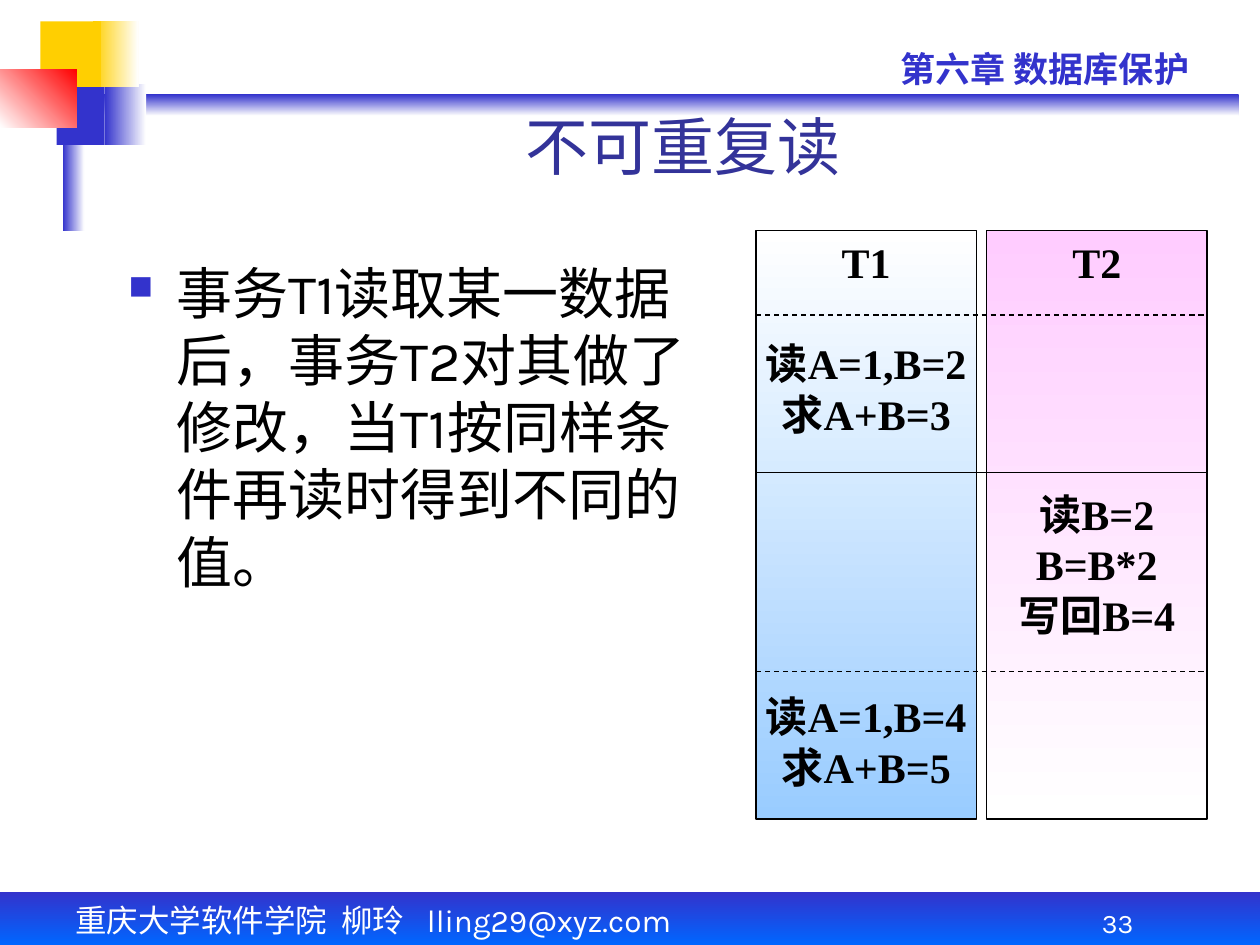
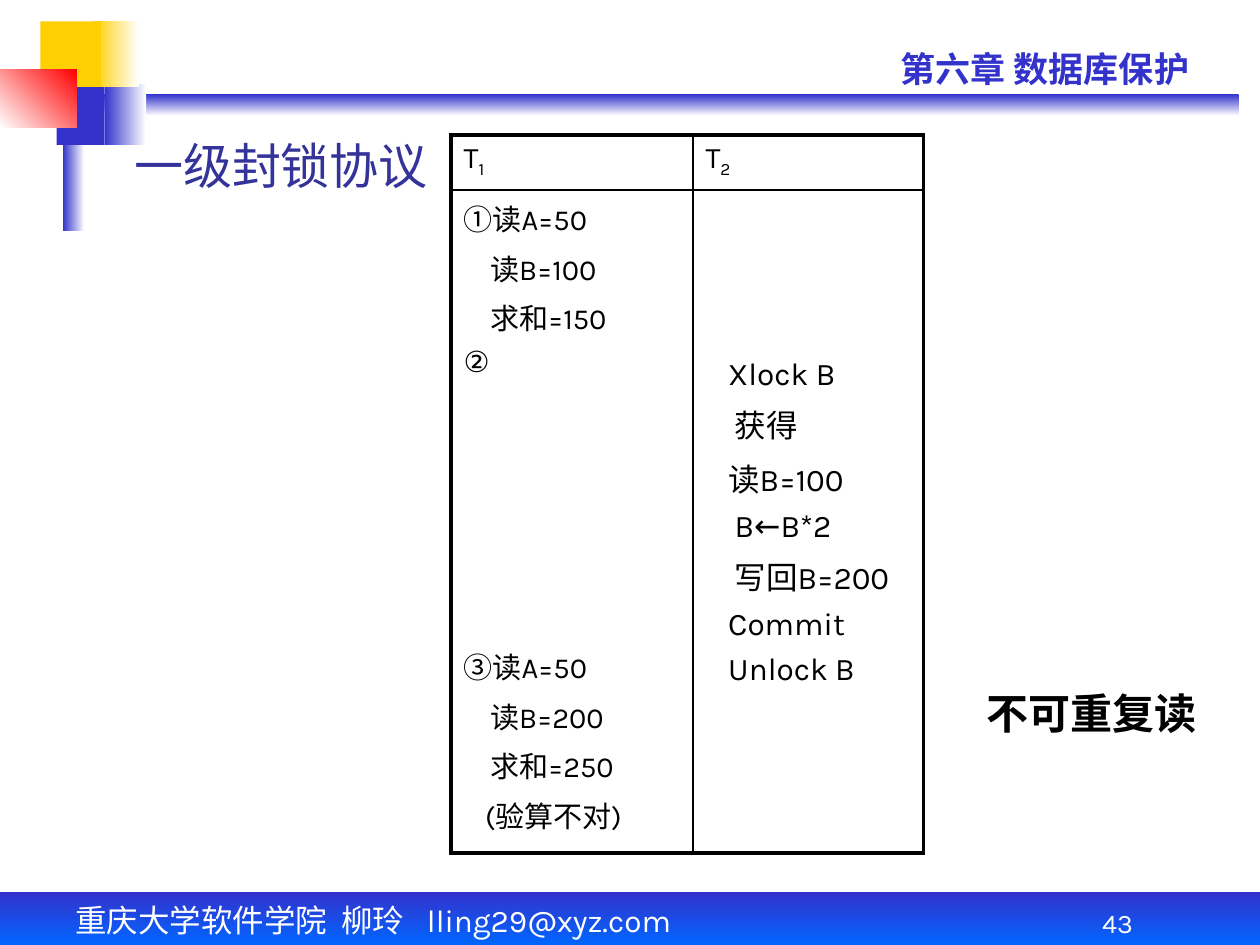
from lxml import etree
from pptx import Presentation
from pptx.dml.color import RGBColor
from pptx.enum.dml import MSO_LINE
from pptx.enum.shapes import MSO_CONNECTOR, MSO_SHAPE
from pptx.enum.text import MSO_ANCHOR, MSO_AUTO_SIZE, PP_ALIGN
from pptx.oxml.ns import qn
from pptx.util import Inches, Pt

RECTANGLE = MSO_SHAPE.RECTANGLE
STRAIGHT = MSO_CONNECTOR.STRAIGHT
DASH = MSO_LINE.DASH
CENTER = PP_ALIGN.CENTER
LEFT = PP_ALIGN.LEFT
TOP = MSO_ANCHOR.TOP
MIDDLE = MSO_ANCHOR.MIDDLE
BOTTOM = MSO_ANCHOR.BOTTOM

FONT = "Karla"
SERIF = "Times New Roman"
SANS = "Arial"
BLUE, TITLE_BLUE, BRIGHT_BLUE = "3333CC", "333399", "0066FF"
YELLOW, RED, WHITE, BLACK = "FFCF01", "FF0000", "FFFFFF", "000000"
SKY, PINK = "99CCFF", "FFCCFF"

# Gradient directions, counter-clockwise degrees
RIGHTWARD, UP_RIGHT, DOWNWARD = 0, 45, 270

# Left, top, width, height, colours, direction
DECORATIONS = [
    (0.58, 0.75, 9.25, 0.17, (BLUE, WHITE), DOWNWARD),
    (0.83, 0.67, 0.33, 0.48, (BLUE, WHITE), RIGHTWARD),
    (0, 7.08, 10, 0.42, (BLUE, BRIGHT_BLUE), DOWNWARD),
    (0.5, 0.58, 0.17, 1.25, (BLUE, WHITE), RIGHTWARD),
    (0.45, 0.67, 0.38, 0.48, (BLUE,), None),
    (0.74, 0.17, 0.36, 0.52, (YELLOW, WHITE), RIGHTWARD),
    (0.32, 0.17, 0.48, 0.52, (YELLOW,), None),
    (0, 0.55, 0.61, 0.46, (WHITE, RED), UP_RIGHT),
]


def rgb(color):
    return RGBColor.from_string(color)


def add_rectangle(slide, left, top, width, height, colors, direction=None):
    """Borderless rectangle, with a gradient when two colours are given."""
    shape = slide.shapes.add_shape(
        RECTANGLE, Inches(left), Inches(top), Inches(width), Inches(height))
    shape.shadow.inherit = False
    shape.line.fill.background()
    if len(colors) == 1:
        shape.fill.solid()
        shape.fill.fore_color.rgb = rgb(colors[0])
    else:
        shape.fill.gradient()
        shape.fill.gradient_angle = direction
        for stop, color in zip(shape.fill.gradient_stops, colors):
            stop.color.rgb = rgb(color)
    return shape


def format_runs(paragraph, size, color=BLACK, font=FONT, bold=False):
    for run in paragraph.runs:
        run.font.size = Pt(size)
        run.font.name = font
        run.font.bold = bold
        run.font.color.rgb = rgb(color)


def write_lines(text_frame, lines, size, align=LEFT, **style):
    """Write (text, space before in points, indent in inches) lines."""
    for index, (text, space, indent) in enumerate(lines):
        paragraph = text_frame.paragraphs[0] if index == 0 else text_frame.add_paragraph()
        paragraph.text = text
        paragraph.alignment = align
        if index:
            paragraph.space_before = Pt(space)
        if indent:
            paragraph._p.get_or_add_pPr().set("marL", str(Inches(indent)))
        format_runs(paragraph, size, **style)


def add_text(slide, left, top, width, height, text, size,
             align=LEFT, anchor=TOP, **style):
    box = slide.shapes.add_textbox(
        Inches(left), Inches(top), Inches(width), Inches(height))
    box.text_frame.word_wrap = True
    box.text_frame.vertical_anchor = anchor
    write_lines(box.text_frame, [(text, 0, 0)], size, align, **style)
    return box


def add_child(parent, tag, **attributes):
    return etree.SubElement(parent, qn(tag), attributes)


def add_frame(slide, number):
    """Corner blocks, chapter heading and footer shared by the slides."""
    for decoration in DECORATIONS:
        add_rectangle(slide, *decoration)
    footer = add_text(slide, 0.5, 7.1, 5.58, 0.4,
                      "重庆大学软件学院\t柳玲\tlling29@xyz.com", 18, color=WHITE)
    properties = footer.text_frame.paragraphs[0]._p.get_or_add_pPr()
    tab_list = add_child(properties, "a:tabLst")
    for position in (2.11, 2.79):
        add_child(tab_list, "a:tab", pos=str(Inches(position)), algn="l")
    add_text(slide, 7.05, 0.33, 2.79, 0.44, "第六章 数据库保护", 20,
             color=BLUE, bold=True)
    add_text(slide, 8.08, 7.08, 1.58, 0.42, str(number), 15.3,
             CENTER, BOTTOM, color=WHITE)


def add_slide(presentation, number, title_text, title_box, title_size):
    slide = presentation.slides.add_slide(presentation.slide_layouts[5])
    add_frame(slide, number)
    title = slide.shapes.title
    title.left, title.top, title.width, title.height = map(Inches, title_box)
    text_frame = title.text_frame
    text_frame.auto_size = MSO_AUTO_SIZE.NONE
    text_frame.word_wrap = True
    text_frame.vertical_anchor = BOTTOM
    write_lines(text_frame, [(title_text, 0, 0)], title_size, CENTER,
                color=TITLE_BLUE)
    return slide


def add_bullet(slide, left, top, width, height, text):
    box = add_text(slide, left, top, width, height, text, 32)
    properties = box.text_frame.paragraphs[0]._p.get_or_add_pPr()
    properties.set("marL", str(Inches(0.38)))
    properties.set("indent", str(-Inches(0.38)))
    bullet_color = add_child(properties, "a:buClr")
    add_child(bullet_color, "a:srgbClr", val=BLUE)
    add_child(properties, "a:buSzPct", val="60000")
    add_child(properties, "a:buChar", char="■")


def add_schedule(slide, left, top):
    """Two transaction columns crossed by time lines."""
    width, height, pitch = 1.75, 4.67, 1.83
    columns = [
        ((WHITE, SKY), [("T1", 0, 0), ("读A=1,B=2", 29, 0), ("求A+B=3", 0, 0),
                        ("读A=1,B=4", 144, 0), ("求A+B=5", 0, 0)]),
        ((PINK, WHITE), [("T2", 0, 0), ("读B=2", 115, 0), ("B=B*2", 0, 0),
                         ("写回B=4", 0, 0)]),
    ]
    for index, (colors, lines) in enumerate(columns):
        column = add_rectangle(slide, left + index * pitch, top, width, height,
                               colors, DOWNWARD)
        column.line.color.rgb = rgb(BLACK)
        column.line.width = Pt(0.75)
        column.text_frame.word_wrap = False
        column.text_frame.vertical_anchor = TOP
        write_lines(column.text_frame, lines, 24, CENTER, font=SERIF, bold=True)
    for offset, dashed in ((0.67, True), (1.92, False), (3.5, True)):
        y = Inches(top + offset)
        line = slide.shapes.add_connector(
            STRAIGHT, Inches(left), y, Inches(left + pitch + width), y)
        line.line.color.rgb = rgb(BLACK)
        line.line.width = Pt(0.75)
        if dashed:
            line.line.dash_style = DASH
        add_child(line._element.spPr, "a:effectLst")


def set_borders(cell, widths):
    """Black borders, widths in points for left, right, top and bottom."""
    properties = cell._tc.get_or_add_tcPr()
    for index, (side, width) in enumerate(zip("LRTB", widths)):
        border = etree.Element(qn("a:ln" + side), w=str(Pt(width)))
        fill = add_child(border, "a:solidFill")
        add_child(fill, "a:srgbClr", val=BLACK)
        properties.insert(index, border)


def add_lock_table(slide, left, top):
    column_widths, row_heights = (1.92, 1.83), (0.44, 5.26)
    table = slide.shapes.add_table(
        2, 2, Inches(left), Inches(top),
        Inches(sum(column_widths)), Inches(sum(row_heights))).table
    table.first_row = table.horz_banding = False
    for column, width in zip(table.columns, column_widths):
        column.width = Inches(width)
    for row, height in zip(table.rows, row_heights):
        row.height = Inches(height)

    outer, inner = 2.25, 1
    for row in range(2):
        for column in range(2):
            cell = table.cell(row, column)
            cell.fill.background()
            cell.margin_left = cell.margin_right = Inches(0.1)
            cell.margin_top = cell.margin_bottom = Inches(0.05)
            set_borders(cell, (inner if column else outer, outer if column else inner,
                               inner if row else outer, outer if row else inner))

    for column in range(2):
        paragraph = table.cell(0, column).text_frame.paragraphs[0]
        paragraph.add_run().text = "T"
        subscript = paragraph.add_run()
        subscript.text = str(column + 1)
        format_runs(paragraph, 17)
        subscript._r.get_or_add_rPr().set("baseline", "-25000")

    gap, step = 4.5, 0.21
    write_lines(table.cell(1, 0).text_frame, [
        ("①读A=50", 0, 0), ("读B=100", gap, step), ("求和=150", gap, step),
        ("②", gap, 0), ("③读A=50", 151, 0), ("读B=200", gap, step),
        ("求和=250", gap, step), ("(验算不对)", gap, 0.17)], 16.6)
    steps = table.cell(1, 1)
    steps.margin_left, steps.margin_right = Inches(0.28), Inches(0.05)
    steps.margin_top = Inches(1.32)
    write_lines(steps.text_frame, [
        ("Xlock B", 0, 0), ("获得", gap, 0.05), ("读B=100", gap, 0),
        ("B←B*2", gap, 0.05), ("写回B=200", gap, 0.05),
        ("Commit", gap, 0), ("Unlock B", gap, 0)], 18)


def build_unrepeatable_read(presentation):
    slide = add_slide(presentation, 33, "不可重复读", (1.17, 1, 8.5, 0.5), 36)
    add_bullet(slide, 0.92, 2, 4.67, 4.83,
               "事务T1读取某一数据后，事务T2对其做了修改，当T1按同样条件再读时得到不同的值。")
    add_schedule(slide, 6, 1.83)


def build_lock_protocol(presentation):
    slide = add_slide(presentation, 43, "一级封锁协议", (0.67, 1.15, 3.12, 0.44), 28)
    add_lock_table(slide, 3.58, 1.07)
    add_text(slide, 7.68, 5.32, 1.97, 0.67, "不可重复读", 24,
             CENTER, MIDDLE, font=SANS, bold=True)


def main():
    presentation = Presentation()
    presentation.slide_width = Inches(10)
    presentation.slide_height = Inches(7.5)
    build_unrepeatable_read(presentation)
    build_lock_protocol(presentation)
    presentation.save("out.pptx")


if __name__ == "__main__":
    main()
